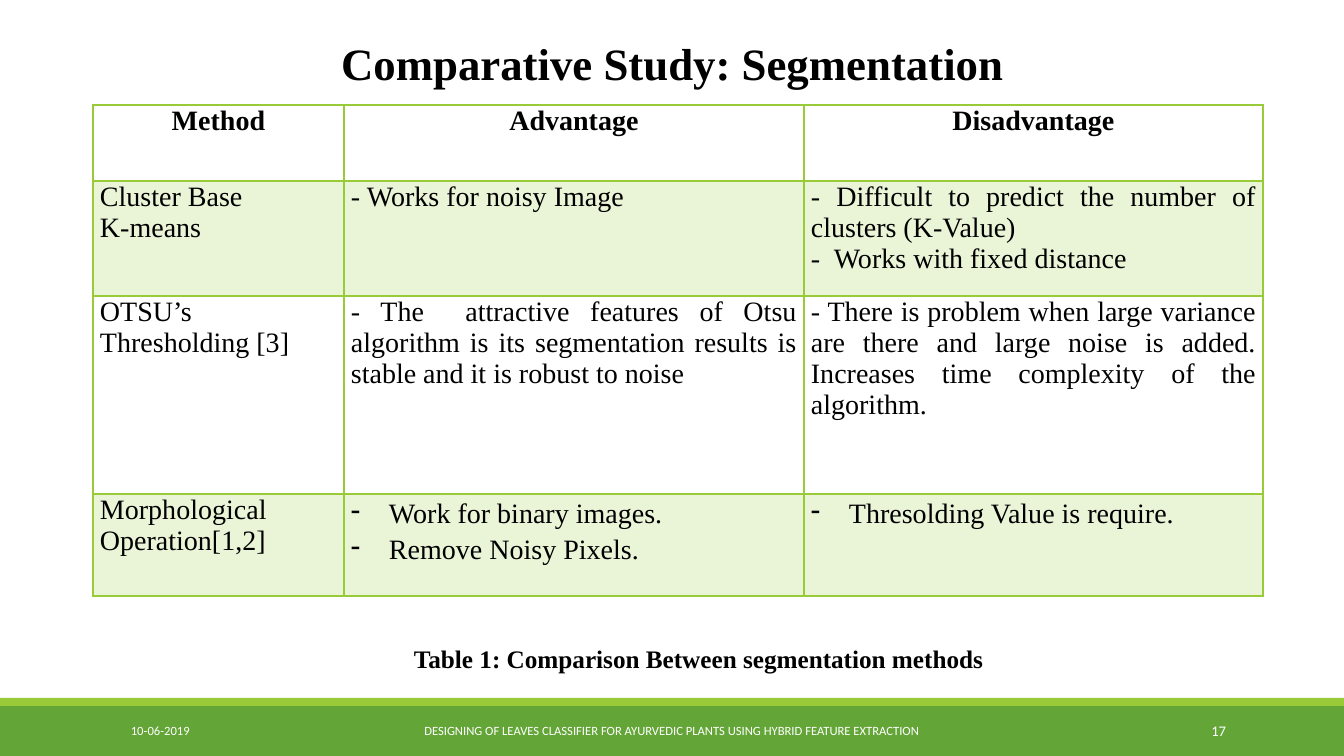
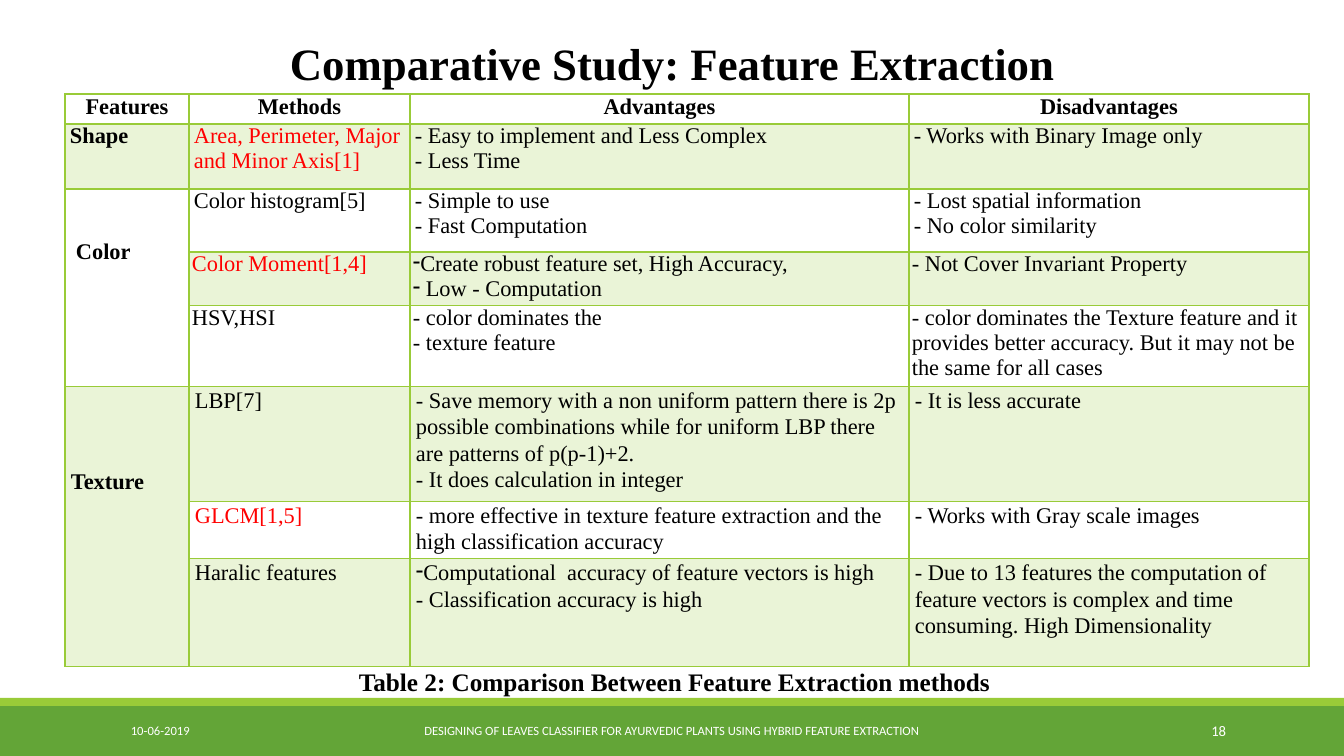
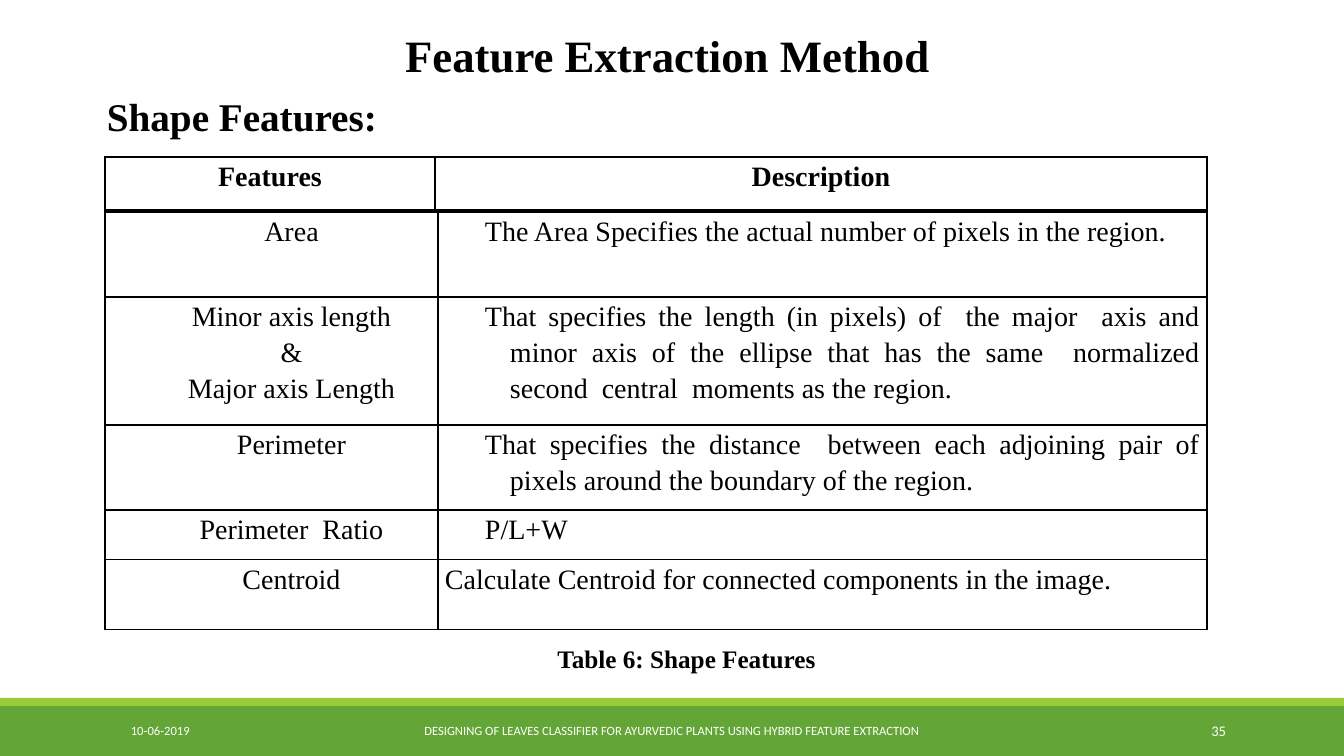
from dataclasses import dataclass

from lxml import etree
from pptx import Presentation
from pptx.dml.color import RGBColor
from pptx.enum.shapes import MSO_SHAPE
from pptx.enum.text import MSO_ANCHOR, PP_ALIGN
from pptx.oxml.ns import qn
from pptx.util import Emu, Pt

LEFT, CENTER, RIGHT, JUSTIFY = PP_ALIGN.LEFT, PP_ALIGN.CENTER, PP_ALIGN.RIGHT, PP_ALIGN.JUSTIFY
TOP, MIDDLE = MSO_ANCHOR.TOP, MSO_ANCHOR.MIDDLE
RECTANGLE = MSO_SHAPE.RECTANGLE
EMU_PER_PX = 914400 / 100.8
PAGE_WIDTH, PAGE_HEIGHT = 1344, 756


@dataclass(frozen=True)
class Theme:
    serif: str = "Times New Roman"
    sans: str = "Calibri"
    black: str = "000000"
    white: str = "FFFFFF"
    red: str = "FF0000"
    green: str = "63A537"
    lime: str = "99CB38"
    band_alpha: int = 20000
    title: float = 32
    subtitle: float = 28
    table: float = 20
    caption: float = 18
    dense_table: float = 16
    page_number: float = 10.5
    footer: float = 9


THEME = Theme()
FOOTER = "DESIGNING OF LEAVES CLASSIFIER FOR AYURVEDIC PLANTS USING HYBRID FEATURE EXTRACTION"
DATE = "10-06-2019"


def px(length):
    return Emu(round(length * EMU_PER_PX))


def write(frame, lines, size=THEME.table, font=THEME.serif, color=THEME.black, bold=False,
          align=LEFT, spacing=None, margin=0, indent=0, bullets=()):
    for index, line in enumerate(lines):
        para = frame.paragraphs[0] if index == 0 else frame.add_paragraph()
        para.alignment = align
        if spacing:
            para.line_spacing = spacing
        properties = para._p.get_or_add_pPr()
        if margin:
            properties.set("marL", str(px(margin)))
            properties.set("indent", str(px(indent)))
        if index in bullets:
            etree.SubElement(properties, qn("a:buChar"), char="-")
        span = para.add_run()
        span.text = line
        span.font.size = Pt(size)
        span.font.name = font
        span.font.bold = bold
        span.font.color.rgb = RGBColor.from_string(color)


def entry(*lines, inset=None, pad_top=0, **style):
    return lines, inset, pad_top, style


def entries(*texts, **style):
    return [entry(text, **style) for text in texts]


class Deck:
    def __init__(self, theme):
        self.theme = theme
        self.deck = Presentation()
        self.deck.slide_width = px(PAGE_WIDTH)
        self.deck.slide_height = px(PAGE_HEIGHT)
        self.page = None

    def add_page(self, number):
        theme = self.theme
        self.page = self.deck.slides.add_slide(self.deck.slide_layouts[6])
        self.band(706, 50, theme.green)
        self.band(698, 8, theme.lime)
        footer = {"font": theme.sans, "color": theme.white, "anchor": MIDDLE}
        self.text(DATE, 121, 711, 272, 40, size=theme.footer, **footer)
        self.text(FOOTER, 406, 711, 531, 40, size=theme.footer, align=CENTER, **footer)
        self.text(number, 1092, 711, 144, 40, size=theme.page_number, align=RIGHT, **footer)

    def band(self, top, height, color):
        box = self.page.shapes.add_shape(RECTANGLE, 0, px(top), px(PAGE_WIDTH), px(height))
        box.shadow.inherit = False
        box.fill.solid()
        box.fill.fore_color.rgb = RGBColor.from_string(color)
        box.line.fill.background()

    def text(self, text, left, top, width, height, anchor=TOP, **style):
        box = self.page.shapes.add_textbox(px(left), px(top), px(width), px(height))
        frame = box.text_frame
        frame.word_wrap = True
        frame.vertical_anchor = anchor
        write(frame, [text], **style)

    def title(self, text, left=66, top=31, width=1213):
        self.text(text, left, top, width, 65, size=self.theme.title, bold=True, align=CENTER)

    def caption(self, text, left, top, width, **style):
        self.text(text, left, top, width, 40, size=self.theme.caption, bold=True, **style)

    def border(self, cell, color, bottom_width):
        properties = cell._tc.get_or_add_tcPr()
        for side, width in (("L", 1), ("R", 1), ("T", 1), ("B", bottom_width)):
            line = etree.SubElement(properties, qn(f"a:ln{side}"), w=str(Pt(width)))
            fill = etree.SubElement(line, qn("a:solidFill"))
            etree.SubElement(fill, qn("a:srgbClr"), val=color)

    def shade(self, cell):
        cell.fill.solid()
        cell.fill.fore_color.rgb = RGBColor.from_string(self.theme.lime)
        color = cell._tc.tcPr.find(qn("a:solidFill"))[0]
        etree.SubElement(color, qn("a:alpha"), val=str(self.theme.band_alpha))

    def table(self, left, top, widths, heights, rows, merges=(), line=THEME.lime,
              banded=True, size=THEME.table, inset=7, inset_y=0):
        frame = self.page.shapes.add_table(len(heights), len(widths), px(left), px(top),
                                           px(sum(widths)), px(sum(heights)))
        table = frame.table
        table.first_row = table.horz_banding = False
        for column, width in zip(table.columns, widths):
            column.width = px(width)
        for row, height in zip(table.rows, heights):
            row.height = px(height)
        for row, column, last_row in merges:
            table.cell(row, column).merge(table.cell(last_row, column))
        for row, contents in enumerate(rows):
            for column, content in enumerate(contents):
                cell = table.cell(row, column)
                self.border(cell, line, 2 if banded and row == 0 else 1)
                if banded and row % 2:
                    self.shade(cell)
                else:
                    cell.fill.background()
                if content is None:
                    continue
                lines, own_inset, pad_top, style = content
                cell.margin_left = cell.margin_right = px(own_inset or inset)
                cell.margin_top, cell.margin_bottom = px(inset_y + pad_top), px(inset_y)
                write(cell.text_frame, lines, **{"size": size, **style})


def segmentation(deck):
    deck.add_page("17")
    listed = {"align": JUSTIFY, "spacing": 1.15, "margin": 38, "indent": -38}
    deck.table(93, 105, [251, 460, 459], [76, 115, 198, 102], [
        entries("Method", "Advantage", "Disadvantage", bold=True, align=CENTER),
        [entry("Cluster Base", "K-means"),
         entry("- Works for noisy Image", align=JUSTIFY),
         entry("- Difficult to predict the number of clusters (K-Value)",
               "-  Works with fixed distance", align=JUSTIFY)],
        [entry("OTSU’s Thresholding [3]"),
         entry("- The  attractive features of Otsu algorithm is its segmentation results is "
               "stable and it is robust to noise", align=JUSTIFY),
         entry("- There is problem when large variance are there and large noise is added. "
               "Increases time complexity of the algorithm.", align=JUSTIFY)],
        [entry("Morphological Operation[1,2]"),
         entry("Work for binary images.", "Remove Noisy Pixels.", bullets=(0, 1), **listed),
         entry("Thresolding Value is require.", bullets=(0,), **listed)],
    ])
    deck.title("Comparative Study: Segmentation")
    deck.caption("Table 1: Comparison Between segmentation methods", 404, 638, 607)


def feature_comparison(deck):
    deck.add_page("18")
    red = THEME.red
    color = {"inset": 3}
    texture = {"inset": 6, "spacing": 1.07}
    deck.table(65, 94, [124, 221, 499, 400], [30, 65, 63, 51, 77, 108, 54, 108], [
        entries("Features", "Methods", "Advantages", "Disadvantages", bold=True, align=CENTER),
        [entry("Shape", bold=True),
         entry("Area, Perimeter, Major and Minor Axis[1]", color=red),
         entry("- Easy to implement and Less Complex", "- Less Time", align=JUSTIFY),
         entry("- Works with Binary Image only", align=JUSTIFY)],
        [entry("Color", bold=True, inset=11, pad_top=51),
         entry("Color histogram[5]", align=JUSTIFY),
         entry("- Simple to use", "- Fast Computation", align=JUSTIFY),
         entry("- Lost spatial information", "- No color similarity", align=JUSTIFY)],
        [None,
         entry("Color Moment[1,4]", color=red, **color),
         entry("Create robust feature set, High Accuracy,", " Low - Computation",
               bullets=(0, 1), **color),
         entry("- Not Cover Invariant Property", **color)],
        [None,
         entry("HSV,HSI", **color),
         entry("- color dominates the", "- texture feature", **color),
         entry("- color dominates the Texture feature and it provides better accuracy. "
               "But it may not be the same for all cases", **color)],
        [entry("Texture", bold=True, pad_top=81, **texture),
         entry("LBP[7]", **texture),
         entry("- Save memory with a non uniform pattern there is 2p possible combinations "
               "while for uniform LBP there are patterns of p(p-1)+2.",
               "- It does calculation in integer", **texture),
         entry("- It is less accurate", **texture)],
        [None,
         entry("GLCM[1,5]", color=red, **texture),
         entry("- more effective in texture feature extraction and the "
               "high classification accuracy", **texture),
         entry("- Works with Gray scale images", **texture)],
        [None,
         entry("Haralic features", **texture),
         entry("Computational  accuracy of feature vectors is high",
               "- Classification accuracy is high", bullets=(0,), **texture),
         entry("- Due to 13 features the computation of feature vectors is complex and time "
               "consuming. High Dimensionality", **texture)],
    ], merges=[(2, 0, 4), (5, 0, 7)], size=THEME.dense_table, inset=5)
    deck.title("Comparative Study: Feature Extraction")
    deck.caption("Table 2: Comparison Between Feature Extraction methods", 349, 661, 665)


def shape_features(deck):
    deck.add_page("35")
    deck.title("Feature Extraction Method", 57, 23, 1221)
    deck.text("Shape Features:", 97, 87, 362, 105, size=THEME.subtitle, bold=True)
    hanging = {"spacing": 1.15, "margin": 65, "indent": -25}
    descriptions = [
        (["Area"], "The Area Specifies the actual number of pixels in the region."),
        (["Minor axis length", "&", "Major axis Length"],
         "That specifies the length (in pixels) of  the major  axis and minor axis of the "
         "ellipse that has the same  normalized second  central  moments as the region."),
        (["Perimeter"], "That specifies the distance  between each adjoining pair of pixels "
         "around the boundary of the region."),
        (["Perimeter  Ratio"], "P/L+W"),
    ]
    rows = [[entry(*names, align=CENTER, **hanging), entry(text, align=JUSTIFY, **hanging)]
            for names, text in descriptions]
    rows.append([entry("Centroid", align=CENTER, **hanging),
                 entry("Calculate Centroid for connected components in the image.",
                       align=JUSTIFY, spacing=1.15)])
    plain = {"line": THEME.black, "banded": False}
    deck.table(105, 212, [333, 769], [85, 128, 85, 50, 70], rows, **plain)
    for heading, left, width in (("Features", 105, 330), ("Description", 435, 772)):
        deck.table(left, 157, [width], [53], [entries(heading, bold=True, align=CENTER)],
                   inset=10, inset_y=5, **plain)
    deck.caption("Table 6: Shape Features", 541, 638, 291, align=CENTER)


def main():
    deck = Deck(THEME)
    segmentation(deck)
    feature_comparison(deck)
    shape_features(deck)
    deck.deck.save("out.pptx")


if __name__ == "__main__":
    main()
